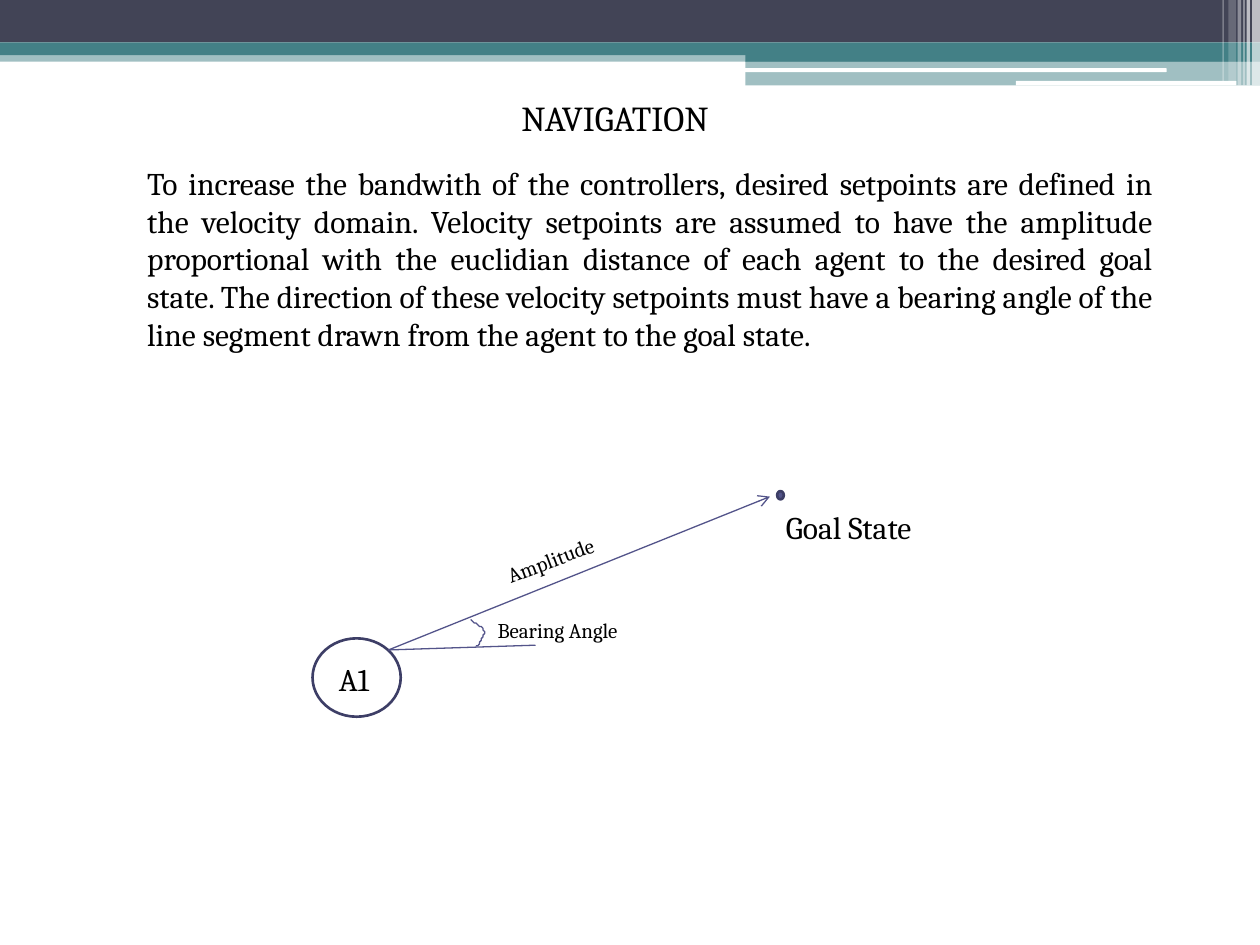
from dataclasses import dataclass

from lxml.etree import SubElement
from pptx import Presentation
from pptx.dml.color import RGBColor
from pptx.enum.shapes import MSO_CONNECTOR, MSO_SHAPE as Preset
from pptx.enum.text import MSO_ANCHOR as Anchor, MSO_AUTO_SIZE as AutoSize, PP_ALIGN as Align
from pptx.oxml.ns import qn
from pptx.shapes.autoshape import Shape
from pptx.shapes.connector import Connector
from pptx.slide import Slide
from pptx.util import Pt

TEAL, SLATE, WHITE, BLACK = "438086", "424456", "FFFFFF", "000000"
INDIGO, OUTLINE = "53548A", "3D3E66"
FONT = "Cambria"
BODY = (
    "To increase the bandwith of the controllers, desired setpoints are defined in "
    "the velocity domain. Velocity setpoints are assumed to have the amplitude "
    "proportional with the euclidian distance of each agent to the desired goal "
    "state. The direction of these velocity setpoints must have a bearing angle of "
    "the line segment drawn from the agent to the goal state."
)


@dataclass
class Band:
    left: float
    top: float
    width: float
    height: float
    color: str
    opacity: int = 100
    preset: Preset = Preset.RECTANGLE


@dataclass
class Label:
    text: str
    left: float
    top: float
    width: float
    height: float
    size: int = 18
    rotation: float = 0
    align: Align = Align.LEFT
    wrap: bool = False


BANDS = [
    Band(0, 28.8, 720, 6.5, TEAL, 50),
    Band(0, 0, 720, 24.3, SLATE),
    Band(0, 24.3, 720, 7.2, TEAL),
    Band(426, 28.1, 294, 7.2, TEAL),
    Band(426, 34.8, 294, 14, TEAL, 50),
    Band(425.5, 39, 241.2, 2.2, WHITE, preset=Preset.ROUNDED_RECTANGLE),
    Band(580.5, 46.2, 126, 2.6, WHITE, preset=Preset.ROUNDED_RECTANGLE),
    Band(715.5, 0, 4.5, 48.8, WHITE, 65),
    Band(712.3, 0, 2, 48.8, WHITE, 65),
    Band(710.5, 0, 0.8, 48.8, WHITE, 60),
    Band(707.2, 0, 2, 48.8, WHITE, 40),
    Band(702, 0, 4.3, 46.2, WHITE, 20),
    Band(698.6, 0, 0.8, 46.2, WHITE, 30),
]
TITLE = Label("NAVIGATION", 279.4, 51.8, 144, 31.5, 20, align=Align.CENTER)
LABELS = [
    Label(BODY, 77, 90, 589, 138.2, align=Align.JUSTIFY, wrap=True),
    Label("A1", 186.5, 373.7, 34.6, 29),
    Label("Goal State", 442, 286.6, 97.2, 29),
    Label("Bearing Angle", 277.2, 349.2, 90, 21.8, 12),
    Label("Amplitude", 281.5, 308.2, 71.3, 21.8, 12, rotation=339.4),
]
AGENT_EDGE = (222, 371.4)
ARROW_TIP = (440, 283.8)
BASELINE_END = (306, 368.7)
ANGLE_CURVES = [
    [(272.2, 369.4), (275, 365.8), (277.2, 362.2), (276.5, 360)],
    [(276.5, 360), (275.8, 357.8), (268.6, 354.2), (268.6, 354.2)],
]


def rgb(color: str) -> RGBColor:
    """Turn a hex string into a colour."""
    return RGBColor.from_string(color)


def draw_band(slide: Slide, band: Band) -> None:
    """Draw one borderless, optionally translucent stripe."""
    shape = slide.shapes.add_shape(
        band.preset, Pt(band.left), Pt(band.top), Pt(band.width), Pt(band.height)
    )
    shape.shadow.inherit = False
    shape.line.fill.background()
    shape.fill.solid()
    shape.fill.fore_color.rgb = rgb(band.color)
    if band.opacity < 100:
        color = shape.fill._xPr.find(".//" + qn("a:srgbClr"))
        SubElement(color, qn("a:alpha"), val=str(band.opacity * 1000))


def write_label(box: Shape, label: Label) -> None:
    """Place a text shape and format its single paragraph."""
    box.left, box.top = Pt(label.left), Pt(label.top)
    box.width, box.height = Pt(label.width), Pt(label.height)
    box.rotation = label.rotation
    frame = box.text_frame
    frame.text = label.text
    frame.word_wrap = label.wrap
    frame.auto_size = AutoSize.NONE
    frame.vertical_anchor = Anchor.TOP
    para = frame.paragraphs[0]
    para.alignment = label.align
    span = para.runs[0]
    span.font.name = FONT
    span.font.size = Pt(label.size)
    span.font.color.rgb = rgb(BLACK)


def add_label(slide: Slide, label: Label) -> None:
    """Add a text box for a label."""
    write_label(slide.shapes.add_textbox(0, 0, Pt(label.width), Pt(label.height)), label)


def draw_circle(
    slide: Slide, left: float, top: float, width: float, height: float, fill: str | None = None
) -> None:
    """Draw an outlined ellipse, hollow unless a fill is given."""
    shape = slide.shapes.add_shape(Preset.OVAL, Pt(left), Pt(top), Pt(width), Pt(height))
    shape.shadow.inherit = False
    shape.line.color.rgb = rgb(OUTLINE)
    shape.line.width = Pt(1.5)
    if fill:
        shape.fill.solid()
        shape.fill.fore_color.rgb = rgb(fill)
    else:
        shape.fill.background()


def draw_line(slide: Slide, start: tuple[float, float], end: tuple[float, float]) -> Connector:
    """Draw a thin straight line between two points."""
    line = slide.shapes.add_connector(
        MSO_CONNECTOR.STRAIGHT, Pt(start[0]), Pt(start[1]), Pt(end[0]), Pt(end[1])
    )
    line.line.color.rgb = rgb(INDIGO)
    line.line.width = Pt(0.75)
    SubElement(line._element.spPr, qn("a:effectLst"))
    return line


def curve_points(curve: list[tuple[float, float]], steps: int = 12) -> list[tuple[float, float]]:
    """Sample a cubic Bezier curve."""
    points = []
    for step in range(steps + 1):
        t = step / steps
        weights = ((1 - t) ** 3, 3 * t * (1 - t) ** 2, 3 * t**2 * (1 - t), t**3)
        x, y = (sum(w * p[axis] for w, p in zip(weights, curve)) for axis in (0, 1))
        points.append((x, y))
    return points


def draw_angle_mark(slide: Slide) -> None:
    """Draw the arc that marks the bearing angle."""
    points = [point for curve in ANGLE_CURVES for point in curve_points(curve)]
    builder = slide.shapes.build_freeform(*points[0], scale=Pt(1))
    builder.add_line_segments(points[1:], close=False)
    arc = builder.convert_to_shape()
    arc.shadow.inherit = False
    arc.fill.background()
    arc.line.color.rgb = rgb(INDIGO)
    arc.line.width = Pt(0.75)


def main() -> None:
    """Build the navigation slide."""
    deck = Presentation()
    deck.slide_width, deck.slide_height = Pt(720), Pt(540)
    page = deck.slides.add_slide(deck.slide_layouts[5])
    for band in BANDS:
        draw_band(page, band)
    write_label(page.shapes.title, TITLE)
    draw_circle(page, 178.6, 364.8, 50.4, 44.8)
    draw_circle(page, 444.1, 280.6, 3.8, 4.8, INDIGO)
    arrow = draw_line(page, AGENT_EDGE, ARROW_TIP)
    SubElement(arrow.line._get_or_add_ln(), qn("a:tailEnd"), type="arrow")
    draw_angle_mark(page)
    draw_line(page, AGENT_EDGE, BASELINE_END)
    for label in LABELS:
        add_label(page, label)
    deck.save("out.pptx")


if __name__ == "__main__":
    main()
